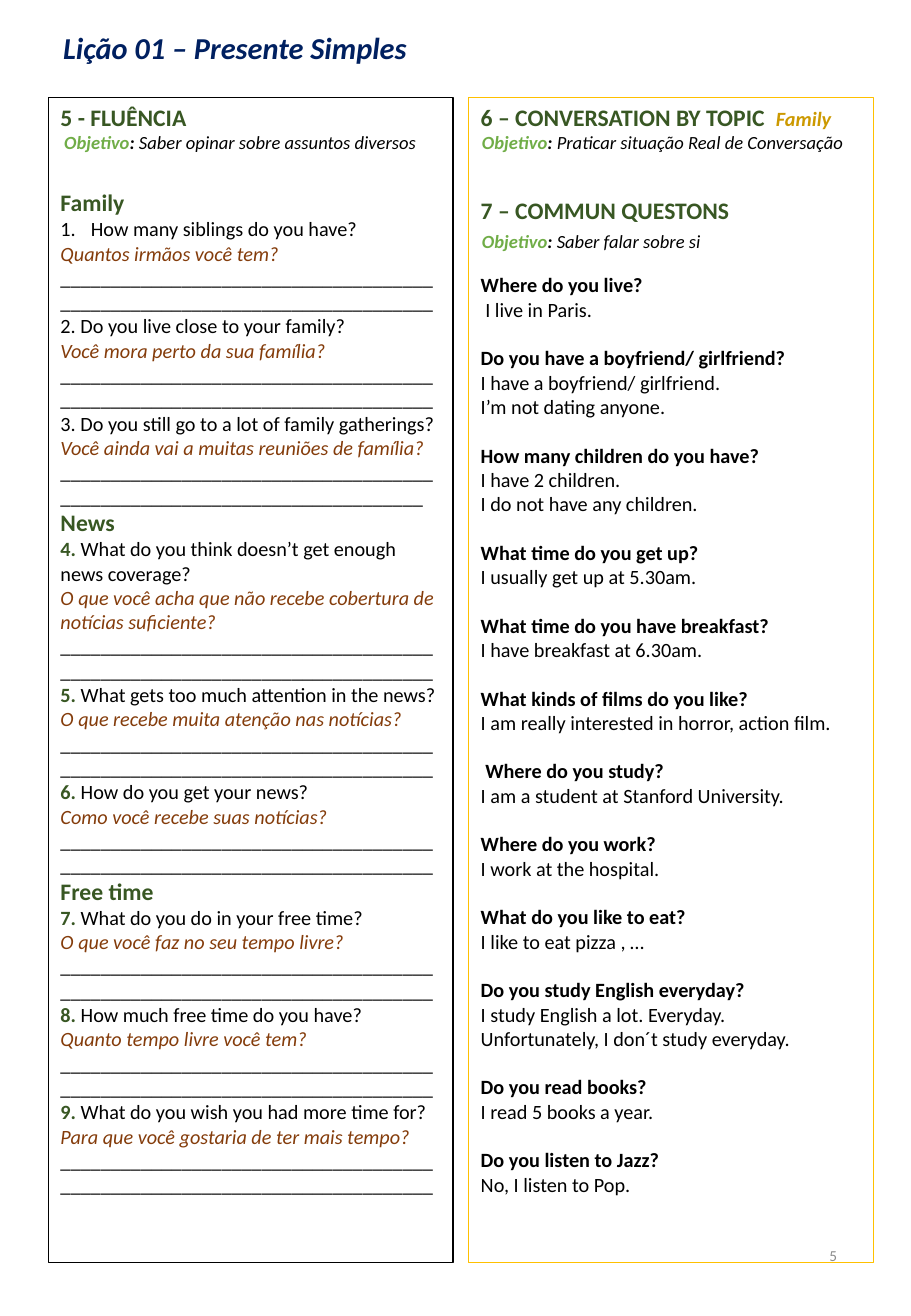
from dataclasses import dataclass

from lxml.etree import SubElement
from pptx import Presentation
from pptx.dml.color import RGBColor
from pptx.enum.shapes import MSO_SHAPE
from pptx.enum.text import MSO_ANCHOR, MSO_AUTO_SIZE, PP_ALIGN
from pptx.oxml.ns import qn
from pptx.util import Inches, Pt


@dataclass(frozen=True)
class Theme:
    font: str = "Calibri"
    black: str = "000000"
    white: str = "FFFFFF"
    green: str = "385723"
    light_green: str = "70AD47"
    brown: str = "843C0B"
    gold: str = "CC9900"
    amber: str = "FFC000"
    navy: str = "002060"
    grey: str = "8C8C8C"
    title: float = 18
    heading: float = 14
    body: float = 12
    goal: float = 11
    footer: float = 9
    blank_line: float = 14.4


THEME = Theme()
WIDTH, HEIGHT = 7.5, 10.83
MARGIN, PANEL_TOP, PANEL_WIDTH, PANEL_HEIGHT = 0.4, 0.8, 3.33, 9.59
COLUMNS = [MARGIN, MARGIN + PANEL_WIDTH + 0.13]
ANSWER_LENGTH = 74

TOPICS = [
    ("Family", [
        ("1.", "How many siblings do you have?", "Quantos irmãos você tem?"),
        ("2.", "Do you live close to your family?", "Você mora perto da sua família?"),
        ("3.", "Do you still go to a lot of family gatherings?",
         "Você ainda vai a muitas reuniões de família?"),
    ]),
    ("News", [
        ("4.", "What do you think doesn’t get enough news coverage?",
         "O que você acha que não recebe cobertura de notícias suficiente?"),
        ("5.", "What gets too much attention in the news?",
         "O que recebe muita atenção nas notícias?"),
        ("6.", "How do you get your news?", "Como você recebe suas notícias?"),
    ]),
    ("Free time", [
        ("7.", "What do you do in your free time?", "O que você faz no seu tempo livre?"),
        ("8.", "How much free time do you have?", "Quanto tempo livre você tem?"),
        ("9.", "What do you wish you had more time for?",
         "Para que você gostaria de ter mais tempo?"),
    ]),
]

COMMON_QUESTIONS = [
    ("Where do you live?", [" I live in Paris."]),
    ("Do you have a boyfriend/ girlfriend?",
     ["I have a boyfriend/ girlfriend.", "I’m not dating anyone."]),
    ("How many children do you have?",
     ["I have 2 children.", "I do not have any children."]),
    ("What time do you get up?", ["I usually get up at 5.30am."]),
    ("What time do you have breakfast?", ["I have breakfast at 6.30am."]),
    ("What kinds of films do you like?",
     ["I am really interested in horror, action film."]),
    (" Where do you study?", ["I am a student at Stanford University."]),
    ("Where do you work?", ["I work at the hospital."]),
    ("What do you like to eat?", ["I like to eat pizza , …"]),
    ("Do you study English everyday?",
     ["I study English a lot. Everyday.", "Unfortunately, I don´t study everyday."]),
    ("Do you read books?", ["I read 5 books a year."]),
    ("Do you listen to Jazz?", ["No, I listen to Pop."]),
]


def add_span(para, text, size=THEME.body, color=THEME.black, bold=False, italic=False):
    span = para.add_run()
    span.text = text
    font = span.font
    font.name, font.size = THEME.font, Pt(size)
    font.bold, font.italic = bold, italic
    font.color.rgb = RGBColor.from_string(color)


def add_para(frame, text="", before=0, **style):
    """Start a paragraph, using the frame's first one while it is still empty."""
    first = frame.paragraphs[0]
    para = frame.add_paragraph() if first.runs else first
    para.alignment = PP_ALIGN.LEFT
    para.space_before = Pt(before)
    if text:
        add_span(para, text, **style)
    return para


def add_heading(frame, text, before=0):
    return add_para(frame, text, before, size=THEME.heading, color=THEME.green, bold=True)


def add_box(slide, left, top, width, height, line, wrap=True):
    box = slide.shapes.add_shape(MSO_SHAPE.RECTANGLE, Inches(left), Inches(top),
                                 Inches(width), Inches(height))
    box.shadow.inherit = False
    box.fill.background()
    box.line.color.rgb = RGBColor.from_string(line)
    box.line.width = Pt(0.75)
    frame = box.text_frame
    frame.word_wrap = wrap
    frame.vertical_anchor = MSO_ANCHOR.TOP
    return frame


def add_panel(slide, column, line):
    return add_box(slide, COLUMNS[column], PANEL_TOP, PANEL_WIDTH, PANEL_HEIGHT, line)


def add_goal(slide, left, top, width, text):
    """Add an objective line; call before the panel so its edge stays behind headings."""
    frame = add_box(slide, left, top, width, 0.29, THEME.white, wrap=False)
    para = add_para(frame, "Objetivo", size=THEME.goal, color=THEME.light_green,
                    bold=True, italic=True)
    add_span(para, ": ", size=THEME.goal, bold=True, italic=True)
    add_span(para, text, size=THEME.goal, italic=True)


def number_automatically(para):
    properties = para._p.get_or_add_pPr()
    properties.set("marL", str(Inches(0.25)))
    properties.set("indent", str(-Inches(0.25)))
    SubElement(properties, qn("a:buFont"), typeface="+mj-lt")
    SubElement(properties, qn("a:buAutoNum"), type="arabicPeriod")


def add_tab_stop(para, position):
    stops = SubElement(para._p.get_or_add_pPr(), qn("a:tabLst"))
    SubElement(stops, qn("a:tab"), pos=str(Inches(position)), algn="l")


def add_exercise(frame, number, question, translation):
    para = add_para(frame)
    if number == "1.":
        number_automatically(para)
    else:
        marked = number not in ("2.", "3.")
        add_span(para, number + " ", bold=marked,
                 color=THEME.green if marked else THEME.black)
    add_span(para, question)
    add_para(frame, translation, color=THEME.brown, italic=True)
    add_para(frame, "_" * (ANSWER_LENGTH - (number == "3.")))


def add_title(slide, text):
    title = slide.shapes.title
    title.left, title.top = Inches(MARGIN), Inches(0.17)
    title.width, title.height = Inches(3.07), Inches(0.41)
    frame = title.text_frame
    frame.word_wrap = False
    frame.auto_size = MSO_AUTO_SIZE.NONE
    frame.vertical_anchor = MSO_ANCHOR.TOP
    para = add_para(frame, text, size=THEME.title, color=THEME.navy, bold=True, italic=True)
    para.alignment = PP_ALIGN.CENTER
    para.line_spacing = 1.07


def add_page_number(slide, number):
    box = slide.shapes.add_textbox(Inches(5.3), Inches(10.04), Inches(1.69), Inches(0.58))
    frame = box.text_frame
    frame.word_wrap = True
    frame.vertical_anchor = MSO_ANCHOR.MIDDLE
    para = add_para(frame, number, size=THEME.footer, color=THEME.grey)
    para.alignment = PP_ALIGN.RIGHT


def add_fluency(slide):
    add_goal(slide, 0.43, 1.03, 3.18, "Saber opinar sobre assuntos diversos")
    frame = add_panel(slide, 0, THEME.black)
    add_heading(frame, "5 - FLUÊNCIA")
    for index, (topic, exercises) in enumerate(TOPICS):
        add_heading(frame, topic, before=0 if index else 33.5)
        for exercise in exercises:
            add_exercise(frame, *exercise)


def add_conversation(slide):
    add_goal(slide, 3.87, 1.03, 3.24, "Praticar situação Real de Conversação")
    add_goal(slide, 3.87, 1.84, 2.06, "Saber falar sobre si")
    frame = add_panel(slide, 1, THEME.amber)
    heading = add_heading(frame, "6 – CONVERSATION BY TOPIC")
    add_tab_stop(heading, 2.43)
    add_span(heading, "\tFamily", color=THEME.gold, bold=True, italic=True)
    add_heading(frame, "7 – COMMUN QUESTONS", before=38)
    for index, (question, answers) in enumerate(COMMON_QUESTIONS):
        add_para(frame, question, THEME.blank_line * (1 if index else 2), bold=True)
        for answer in answers:
            add_para(frame, answer)


def main():
    deck = Presentation()
    deck.slide_width, deck.slide_height = Inches(WIDTH), Inches(HEIGHT)
    page = deck.slides.add_slide(deck.slide_layouts[5])
    add_title(page, "Lição 01 – Presente Simples")
    add_fluency(page)
    add_conversation(page)
    add_page_number(page, "5")
    deck.save("out.pptx")


if __name__ == "__main__":
    main()
